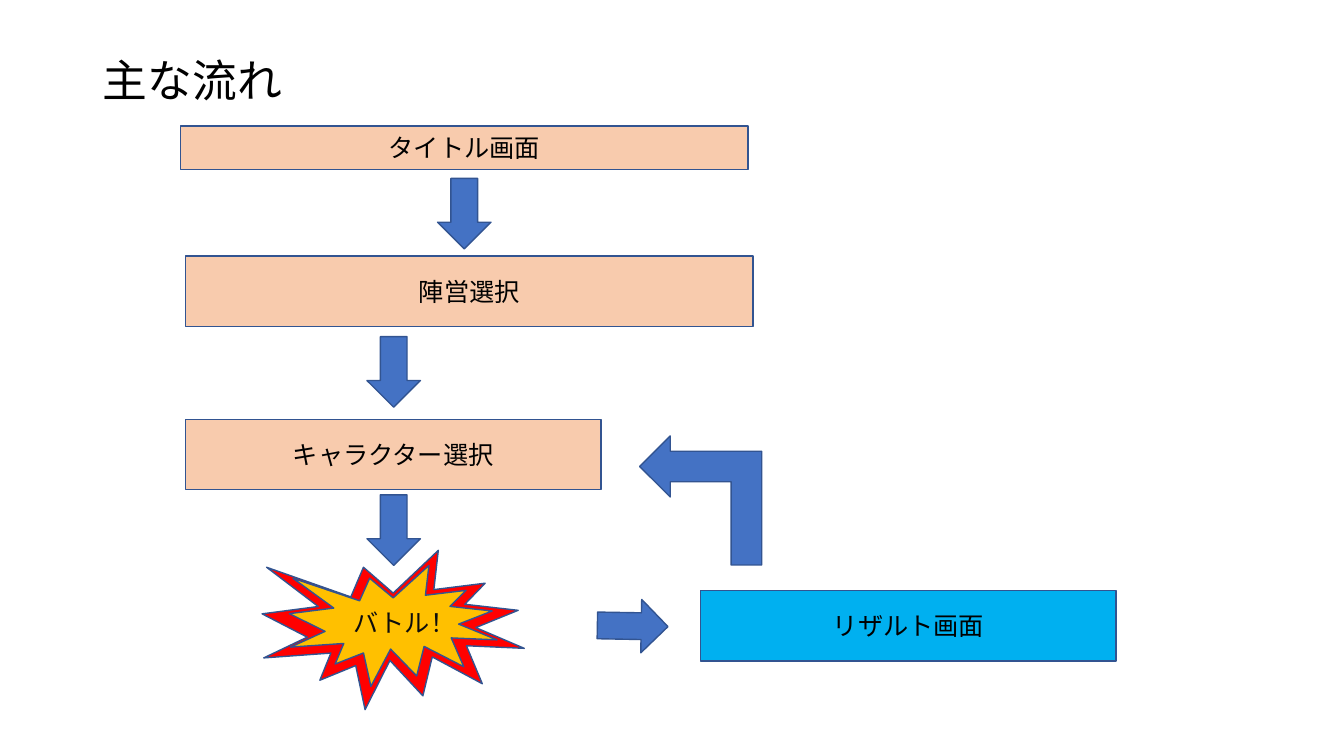
from lxml import etree
from pptx import Presentation, util as u
from pptx.dml.color import RGBColor
from pptx.enum import shapes, text
from pptx.oxml.ns import qn

WIDTH, HEIGHT = 13.33, 7.5
FONT = "Noto Sans CJK JP"
COLORS = {
    "ink": "000000", "battle ink": "0D0D0D", "outline": "325491",
    "step": "F8CBAD", "arrow": "4472C4", "result": "00B0F0",
    "flare": "FF0000", "burst": "FFC000",
}
KIND = shapes.MSO_SHAPE
ARROW_SIZE = (0.53, 0.7)
STEP_HEIGHT = 0.7
SHORT_STEP = 4.12
LONG_STEP = 5.63


def color(name):
    return RGBColor.from_string(COLORS[name])


def inside(box, left, top, width, height):
    """Offset a rectangle by the top left corner of its region."""
    return box[0] + left, box[1] + top, width, height


def write(frame, words, size, ink, align):
    frame.word_wrap = True
    frame.auto_size = text.MSO_AUTO_SIZE.NONE
    frame.vertical_anchor = text.MSO_ANCHOR.MIDDLE
    para = frame.paragraphs[0]
    para.alignment = align
    span = para.add_run()
    span.text = words
    for name, value in {"name": FONT, "size": u.Pt(size), "bold": False}.items():
        setattr(span.font, name, value)
    span.font.color.rgb = color(ink)
    east_asian = etree.SubElement(span.font._element, qn("a:ea"))
    east_asian.set("typeface", FONT)
    return para


def add_part(page, kind, place, fill, words="", ink="ink", turn=0):
    shape = page.shapes.add_shape(kind, *map(u.Inches, place))
    shape.shadow.inherit = False
    shape.rotation = turn
    shape.fill.solid()
    shape.fill.fore_color.rgb = color(fill)
    shape.line.color.rgb = color("outline")
    shape.line.width = u.Pt(1)
    if words:
        write(shape.text_frame, words, 18, ink, text.PP_ALIGN.CENTER)


def add_title(page, box, words):
    title = page.shapes.title
    for name, value in zip(("left", "top", "width", "height"), box):
        setattr(title, name, u.Inches(value))
    para = write(title.text_frame, words, 32, "ink", text.PP_ALIGN.LEFT)
    para.line_spacing = 0.9


def add_selection(page, box):
    """Stack the screens before the battle, each followed by a down arrow."""
    steps = [
        ("タイトル画面", (0, 0, LONG_STEP, 0.43), (2.55, 0.52)),
        ("陣営選択", (0.05, 1.29, LONG_STEP, STEP_HEIGHT), (1.85, 2.09)),
        ("キャラクター選択", (0.05, 2.91, SHORT_STEP, STEP_HEIGHT), (1.85, 3.66)),
    ]
    for words, place, arrow in steps:
        add_part(page, KIND.RECTANGLE, inside(box, *place), "step", words)
        add_part(page, KIND.DOWN_ARROW, inside(box, *arrow, *ARROW_SIZE), "arrow")


def add_battle(page, box):
    add_part(page, KIND.EXPLOSION1, box, "flare")
    add_part(page, KIND.EXPLOSION1, inside(box, 0.27, 0.15, 2.06, 1.2),
             "burst", "バトル！", "battle ink")


def add_result(page, box):
    """Place the result screen, the arrow into it and the arrow back."""
    add_part(page, KIND.RECTANGLE, box, "result", "リザルト画面")
    add_part(page, KIND.DOWN_ARROW, inside(box, -0.94, 0, *ARROW_SIZE),
             "arrow", turn=271)
    add_part(page, KIND.BENT_UP_ARROW, inside(box, -0.64, -1.5, 1.28, 1.21),
             "arrow", turn=270)


def main():
    deck = Presentation()
    deck.slide_width, deck.slide_height = u.Inches(WIDTH), u.Inches(HEIGHT)
    page = deck.slides.add_slide(deck.slide_layouts.get_by_name("Title Only"))
    add_title(page, (0.92, 0.4, 2.83, 0.85), "主な流れ")
    add_selection(page, (1.79, 1.25))
    add_battle(page, (2.6, 5.46, 2.6, 1.58))
    add_result(page, (6.95, 5.86, SHORT_STEP, STEP_HEIGHT))
    deck.save("out.pptx")


if __name__ == "__main__":
    main()
